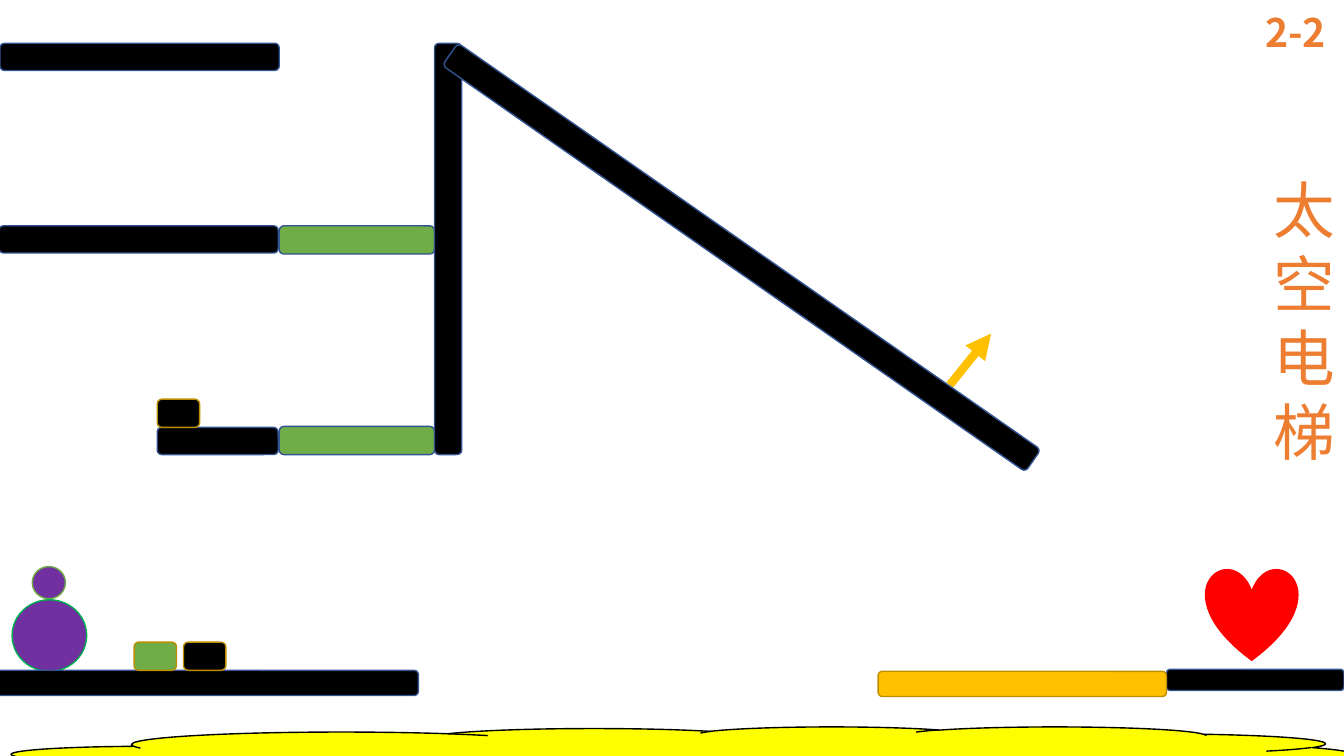
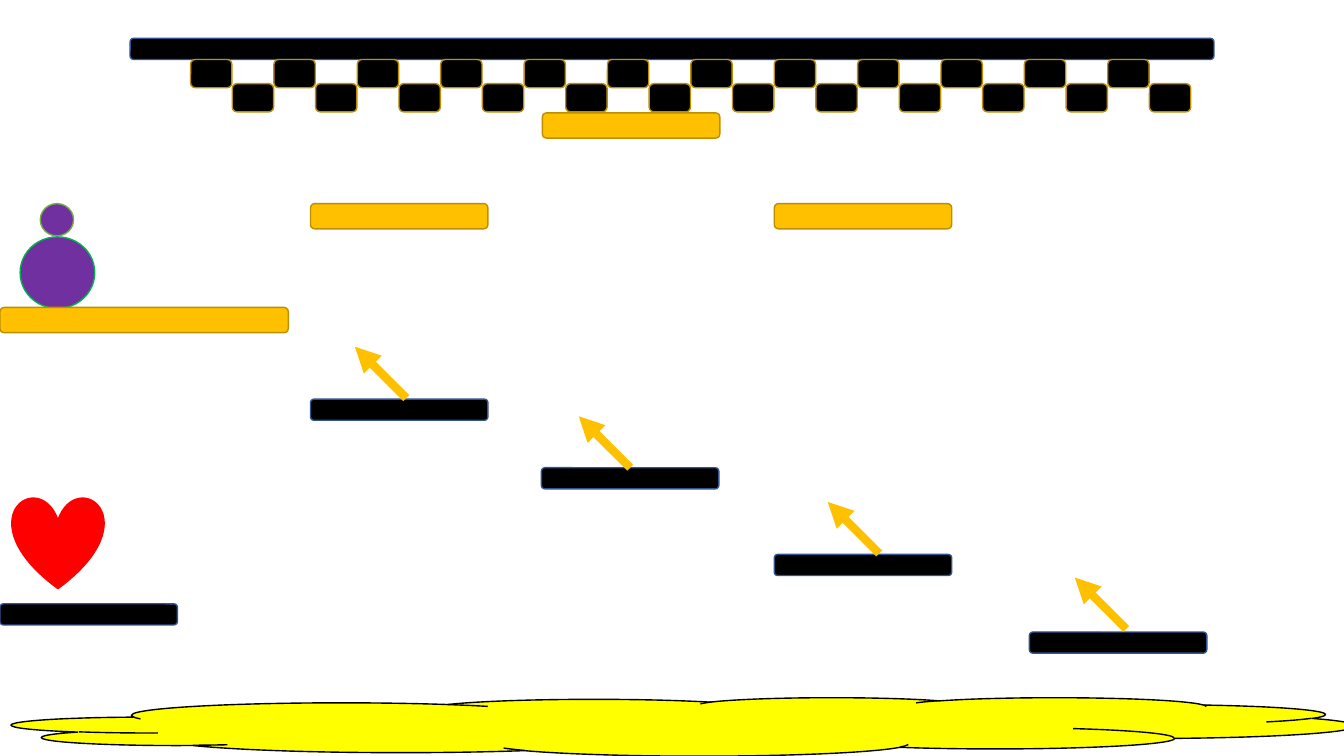
from lxml import etree
from pptx import Presentation
from pptx.dml.color import RGBColor
from pptx.enum.shapes import MSO_CONNECTOR as Connector, MSO_SHAPE as Shape
from pptx.enum.text import MSO_ANCHOR as Anchor, MSO_AUTO_SIZE as AutoSize, PP_ALIGN as Align
from pptx.oxml.ns import qn
from pptx.util import Inches, Pt

COLORS = {
    "black": "000000",
    "blue": "325491",
    "green": "70AD47",
    "emerald": "00B050",
    "purple": "7030A0",
    "yellow": "FFFF00",
    "amber": "FFC000",
    "ochre": "BD8E00",
    "red": "FF0000",
    "orange": "ED7D31",
}
FONT = "Noto Sans CJK JP"
STEP_WIDTH, STEP_HEIGHT = 1.76, 0.21
BAR_HEIGHT = 0.27
PLANK_HEIGHT = 0.25


def color(name):
    return RGBColor.from_string(COLORS[name])


def add_piece(shapes, kind, box, fill, line):
    """Filled and outlined preset shape; box is left, top, width, height."""
    piece = shapes.add_shape(kind, *map(Inches, box))
    piece.shadow.inherit = False
    piece.fill.solid()
    piece.fill.fore_color.rgb = color(fill)
    piece.line.color.rgb = color(line)
    piece.line.width = Pt(1)
    return piece


def add_bar(slide, box, fill="black", line="blue"):
    return add_piece(slide.shapes, Shape.ROUNDED_RECTANGLE, box, fill, line)


def add_plank(slide, left, top, width=STEP_WIDTH):
    return add_bar(slide, (left, top, width, PLANK_HEIGHT), "amber", "ochre")


def add_step(slide, left, top):
    return add_bar(slide, (left, top, STEP_WIDTH, STEP_HEIGHT))


def add_block(slide, left, top, fill="black", width=0.42):
    return add_bar(slide, (left, top, width, 0.28), fill, "ochre")


def add_player(slide, left, top):
    """Two stacked balls, grouped."""
    player = slide.shapes.add_group_shape().shapes
    add_piece(player, Shape.OVAL, (left + 0.2, top, 0.33, 0.32), "purple", "green")
    add_piece(player, Shape.OVAL, (left, top + 0.33, 0.74, 0.71), "purple", "emerald")


def add_heart(slide, left, top):
    add_piece(slide.shapes, Shape.HEART, (left, top, 0.91, 0.91), "red", "red")


def add_cloud(slide, top):
    add_piece(slide.shapes, Shape.CLOUD, (0.12, top, 13.32, 0.58), "yellow", "black")


def add_arrow(slide, start, end):
    arrow = slide.shapes.add_connector(Connector.STRAIGHT, *map(Inches, start + end))
    arrow.line.color.rgb = color("amber")
    arrow.line.width = Pt(6)
    etree.SubElement(arrow.line._get_or_add_ln(), qn("a:tailEnd"), type="triangle")
    etree.SubElement(arrow._element.spPr, qn("a:effectLst"))
    return arrow


def set_label(label, box, text, size, bold=False):
    """Place a text shape and format its single paragraph."""
    label.left, label.top, label.width, label.height = map(Inches, box)
    frame = label.text_frame
    frame.text = text
    frame.word_wrap = True
    frame.auto_size = AutoSize.NONE
    frame.vertical_anchor = Anchor.TOP
    paragraph = frame.paragraphs[0]
    paragraph.alignment = Align.LEFT
    paragraph.line_spacing = Pt(size * 1.2)
    font = paragraph.runs[0].font
    font.name, font.size, font.bold = FONT, Pt(size), bold
    font.color.rgb = color("orange")
    etree.SubElement(paragraph.runs[0]._r.rPr, qn("a:ea"), typeface=FONT)


def build_elevator(prs):
    slide = prs.slides.add_slide(prs.slide_layouts[5])
    add_player(slide, 0.12, 5.62)
    add_cloud(slide, 7.21)

    # Title and level number
    set_label(slide.shapes.title, (12.53, 1.66, 0.71, 3.06), "太空电梯", 44)
    level = slide.shapes.add_textbox(0, 0, 0, 0)
    set_label(level, (12.45, 0.03, 1.76, 0.57), "2-2", 28, bold=True)

    # Ground and loose blocks
    add_bar(slide, (-0.08, 6.65, 4.23, 0.25))
    add_block(slide, 1.82, 6.37)
    add_block(slide, 1.33, 6.37, "green")

    # Floors and green bridges
    for top in (4.23, 2.24):
        add_bar(slide, (2.77, top, 1.54, 0.28), "green")
    for left, top, width in ((1.56, 4.24, 1.2), (-0.01, 2.24, 2.77), (0, 0.43, 2.77)):
        add_bar(slide, (left, top, width, BAR_HEIGHT))
    add_block(slide, 1.56, 3.96)

    # Shaft
    add_bar(slide, (4.31, 0.43, BAR_HEIGHT, 4.08))

    # Goal
    add_heart(slide, 11.96, 5.64)
    add_step(slide, 11.57, 6.64)
    add_plank(slide, 8.71, 6.66, 2.86)

    # Ramp
    add_arrow(slide, (9.42, 3.82), (9.83, 3.31))
    ramp = add_bar(slide, (3.83, 2.42, 7.05, BAR_HEIGHT))
    ramp.rotation = 34.9


def build_stairs(prs):
    slide = prs.slides.add_slide(prs.slide_layouts[6])
    add_player(slide, 0.2, 2.02)
    add_heart(slide, 0.12, 4.93)
    add_cloud(slide, 6.92)

    # Steps, each with an arrow pointing up and left
    steps = (
        (3.08, 3.96, 4.03, 3.95),
        (5.37, 4.64, 6.25, 4.64),
        (7.68, 5.5, 8.72, 5.49),
        (10.21, 6.27, 11.17, 6.24),
    )
    for left, top, start_x, start_y in steps:
        step = add_step(slide, left, top)
        arrow = add_arrow(slide, (start_x, start_y), (start_x - 0.51, start_y - 0.51))
        if abs(start_x - left - STEP_WIDTH / 2) < 0.01:
            arrow.begin_connect(step, 0)
    add_step(slide, 0, 5.99)

    # Ceiling with a checkered double row of blocks
    add_bar(slide, (1.29, 0.38, 10.75, STEP_HEIGHT))
    for column in range(24):
        add_block(slide, 1.89 + column * 0.4135, (0.59, 0.83)[column % 2], width=0.41)

    # Amber planks
    add_plank(slide, 0, 3.05, 2.86)
    for left, top in ((3.08, 2.02), (5.38, 1.12), (7.68, 2.02)):
        add_plank(slide, left, top)


def main():
    prs = Presentation()
    prs.slide_width, prs.slide_height = Inches(13.33), Inches(7.5)
    build_elevator(prs)
    build_stairs(prs)
    prs.save("out.pptx")


if __name__ == "__main__":
    main()
